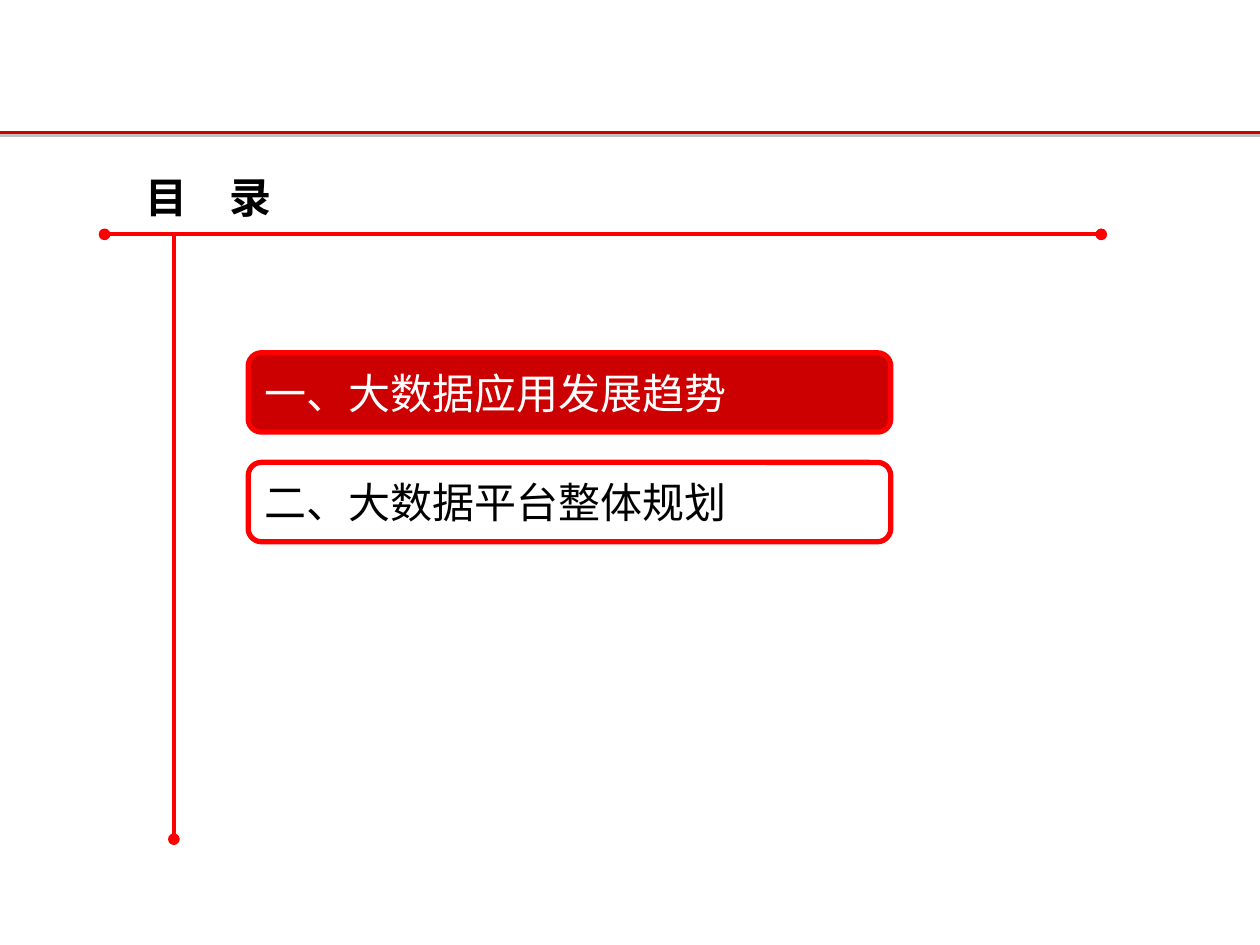
from lxml import etree
from pptx import Presentation
from pptx.dml.color import RGBColor
from pptx.enum.shapes import MSO_CONNECTOR, MSO_SHAPE
from pptx.enum.text import MSO_ANCHOR, PP_ALIGN
from pptx.oxml.ns import qn
from pptx.util import Inches, Pt

LINE = MSO_CONNECTOR.STRAIGHT
CARD = MSO_SHAPE.FLOWCHART_ALTERNATE_PROCESS
LEFT = PP_ALIGN.LEFT
TOP, MID = MSO_ANCHOR.TOP, MSO_ANCHOR.MIDDLE

TITLE = "目　录"
ITEMS = ["一、大数据应用发展趋势", "二、大数据平台整体规划"]
ACTIVE = 0

THEME = {
    "brand": "CC0000", "red": "FF0000", "shade": "C0C0C0",
    "ink": "000000", "paper": "FFFFFF",
    "size": 24, "latin": "Roboto", "cjk": "Noto Sans CJK SC",
    "rule": 2, "axis": 2.25, "edge": 3,
}
WIDE, HIGH = 10, 7.5
RULE_Y = 0.14 * HIGH
AXIS_X, AXIS_Y = (0.83, 8.74), 1.86
STEM_X, STEM_END = 1.38, 6.66
CARD_X, CARD_Y, CARD_W, CARD_H, PITCH = 1.97, 2.8, 5.1, 0.63, 0.87


def tint(name):
    return RGBColor.from_string(THEME[name])


def write(shape, text, color="ink", font="cjk", bold=False, anchor=MID):
    frame = shape.text_frame
    frame.word_wrap = True
    frame.vertical_anchor = anchor
    para = frame.paragraphs[0]
    para.alignment = LEFT
    run = para.add_run()
    run.text = text
    run.font.name = THEME[font]
    run.font.size = Pt(THEME["size"])
    run.font.bold = bold
    run.font.color.rgb = tint(color)
    east = etree.SubElement(run.font._element, qn("a:ea"))
    east.set("typeface", THEME["cjk"])


def draw(slide, start, end, color, width, head=None, tail=None, shade=None):
    line = slide.shapes.add_connector(LINE, *map(Inches, start + end))
    line.line.color.rgb = tint(color)
    line.line.width = Pt(THEME[width])
    stroke = line.line._get_or_add_ln()
    for tag, kind in (("a:headEnd", head), ("a:tailEnd", tail)):
        if kind:
            etree.SubElement(stroke, qn(tag)).set("type", kind)
    fx = etree.SubElement(line._element.spPr, qn("a:effectLst"))
    if shade:
        cast = etree.SubElement(fx, qn("a:outerShdw"), dist=str(Pt(1.6)),
                                dir="5400000", rotWithShape="0")
        etree.SubElement(cast, qn("a:srgbClr"), val=THEME[shade])


def card(slide, row, text):
    live = row == ACTIVE
    box = slide.shapes.add_shape(
        CARD, *map(Inches, (CARD_X, CARD_Y + row * PITCH, CARD_W, CARD_H)))
    box.shadow.inherit = False
    if live:
        box.fill.solid()
        box.fill.fore_color.rgb = tint("brand")
    else:
        box.fill.background()
    box.line.color.rgb = tint("red")
    box.line.width = Pt(THEME["edge"])
    write(box, text, color="paper" if live else "ink")


def main():
    deck = Presentation()
    deck.slide_width, deck.slide_height = Inches(WIDE), Inches(HIGH)
    slide = deck.slides.add_slide(deck.slide_layouts[6])
    draw(slide, (0, RULE_Y), (WIDE, RULE_Y), "brand", "rule", shade="shade")
    title = slide.shapes.add_textbox(*map(Inches, (1.06, 1.31, 2.92, 0.5)))
    write(title, TITLE, font="latin", bold=True, anchor=TOP)
    for row, text in enumerate(ITEMS):
        card(slide, row, text)
    near, far = AXIS_X
    draw(slide, (near, AXIS_Y), (far, AXIS_Y), "red", "axis",
         head="oval", tail="oval")
    draw(slide, (STEM_X, AXIS_Y), (STEM_X, STEM_END), "red", "axis",
         tail="oval")
    deck.save("out.pptx")


if __name__ == "__main__":
    main()
